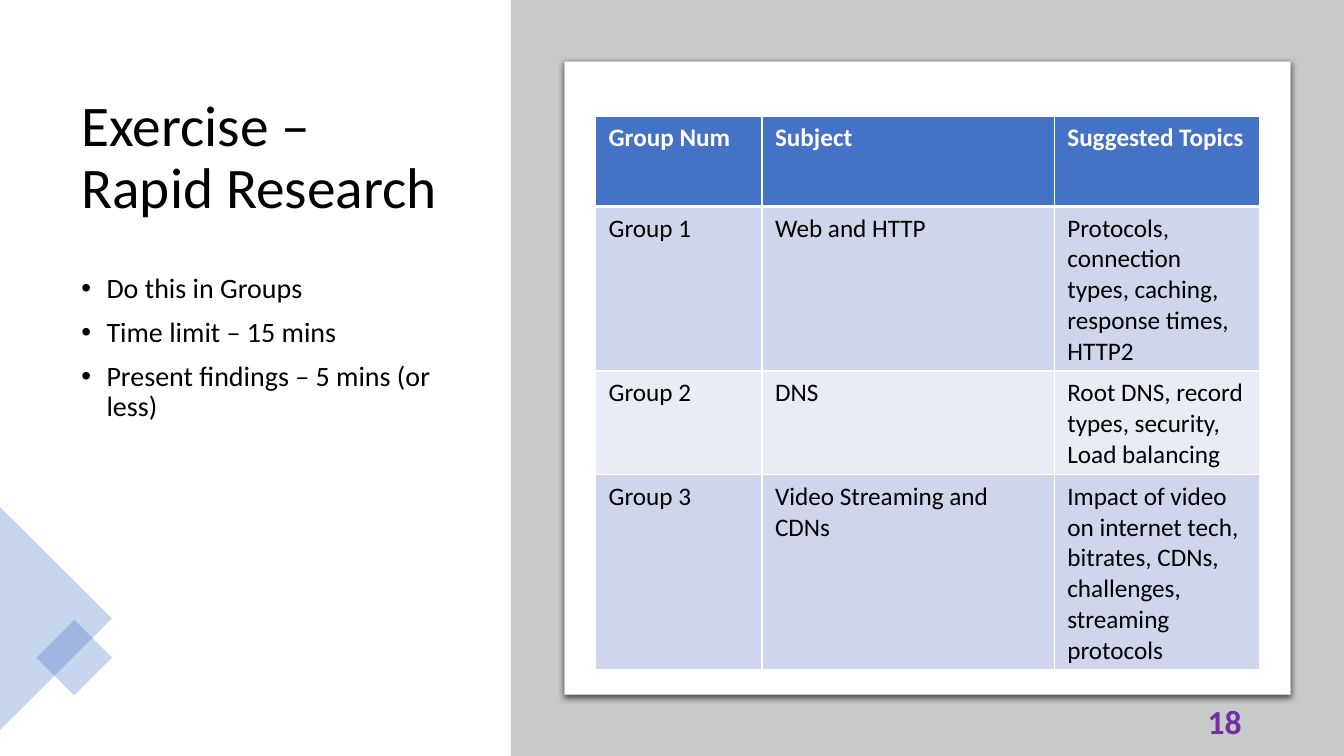
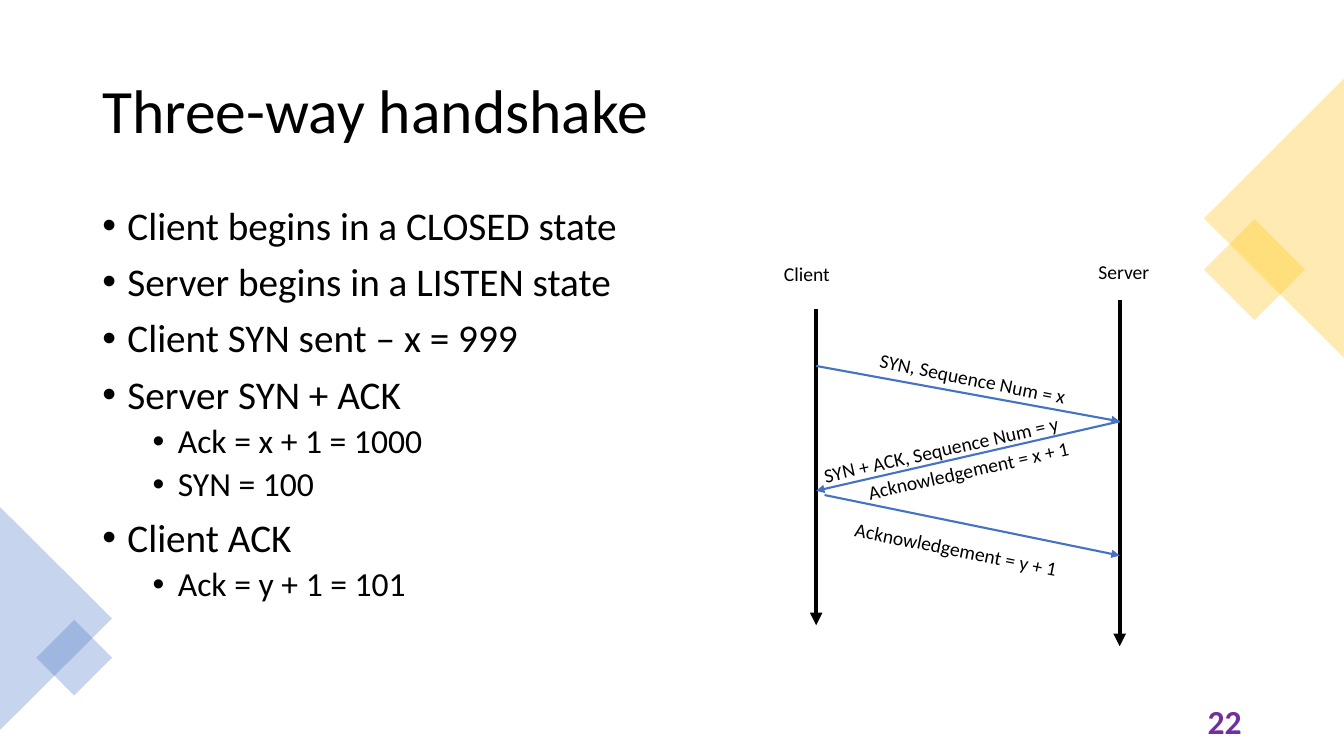
from dataclasses import dataclass
from lxml import etree
from pptx import Presentation
from pptx import util as u
from pptx.dml import color
from pptx.enum import shapes, text
from pptx.oxml import ns

Pt = u.Pt


@dataclass(frozen=True)
class Theme:
    font: str = "Calibri"
    black: str = "000000"
    white: str = "FFFFFF"
    blue: str = "4472C4"
    gold: str = "FFC000"
    gray: str = "C8CACA"
    violet: str = "7030A0"
    bands: tuple = ("CFD5EA", "E9EBF5")
    title: int = 44
    small: int = 41  # title beside a panel
    body: tuple = (28, 24)  # by bullet level
    note: int = 20
    cell: int = 18
    label: int = 14
    page: int = 24


T = Theme()
WIDE, HIGH = 960, 540
MID = text.MSO_ANCHOR.MIDDLE
RIGHT = text.PP_ALIGN.RIGHT


# Basic parts
def rgb(code):
    return color.RGBColor.from_string(code)


def sub(node, tag, **attrs):
    return etree.SubElement(node, ns.qn(tag), attrs)


def apply(item, values):
    for name, value in values.items():
        setattr(item, name, value)


def write(para, words, size, ink=T.black, bold=False, **form):
    apply(para, form)
    run = para.add_run()
    run.text = words
    apply(run.font, dict(name=T.font, size=Pt(size), bold=bold))
    run.font.color.rgb = rgb(ink)


def frame(slide, box, **form):
    area = slide.shapes.add_textbox(*map(Pt, box))
    apply(area.text_frame, dict(word_wrap=True, **form))
    return area


def block(slide, kind, box, fill, alpha=None, turn=0):
    shape = slide.shapes.add_shape(kind, *map(Pt, box))
    shape.shadow.inherit = False
    shape.rotation = turn
    shape.fill.solid()
    shape.fill.fore_color.rgb = rgb(fill)
    shape.line.fill.background()
    if alpha:
        tint = shape.fill._xPr.find(".//" + ns.qn("a:srgbClr"))
        sub(tint, "a:alpha", val=str(alpha * 1000))
    return shape


def arrow(slide, start, end, ink, width):
    line = slide.shapes.add_connector(
        shapes.MSO_CONNECTOR.STRAIGHT, *map(Pt, start + end))
    line.line.color.rgb = rgb(ink)
    line.line.width = Pt(width)
    sub(line.line._get_or_add_ln(), "a:tailEnd", type="triangle")
    sub(line._element.spPr, "a:effectLst")


# Shared slide parts
def corner(slide, box, fill, side, drop, left):
    """Half diamond on a slide edge, with a small diamond at its tip."""
    x, y, w, h = box
    mid = y + h / 2
    block(slide, shapes.MSO_SHAPE.ISOSCELES_TRIANGLE,
          (x + (w - h) / 2, mid - w / 2, h, w), fill, 30, 90 if left else 270)
    half = side / 2 ** 0.5
    hub = x + w - half if left else x + half
    block(slide, shapes.MSO_SHAPE.RECTANGLE,
          (hub - side / 2, mid + drop - side / 2, side, side), fill, 30, 45)


def title(slide, box, words, size):
    area = frame(slide, box, vertical_anchor=MID)
    write(area.text_frame.paragraphs[0], words, size, line_spacing=0.9)


def bullets(slide, box, items, sizes):
    area = frame(slide, box).text_frame
    for i, (level, words) in enumerate(items):
        para = area.add_paragraph() if i else area.paragraphs[0]
        write(para, words, sizes[level], level=level, line_spacing=0.9,
              space_before=Pt(5 if level else 10))
        props = para._p.get_or_add_pPr()
        props.set("marL", str(Pt(18 + 36 * level)))
        props.set("indent", str(-Pt(18)))
        sub(props, "a:buFont", typeface="Arial")
        sub(props, "a:buChar", char="•")


def base(deck, page):
    slide = deck.slides.add_slide(deck.slide_layouts[6])
    corner(slide, (0, 362.2, 80, 159.2), T.blue, 38.2, 28, True)
    return slide, page


def number(slide, page):
    area = frame(slide, (678, 500.4, 216, 28.8), vertical_anchor=MID)
    write(area.text_frame.paragraphs[0], page, T.page, T.violet, True,
          alignment=RIGHT)


# Slide with a table on a card
def card(slide, box):
    shape = block(slide, shapes.MSO_SHAPE.RECTANGLE, box, T.white)
    shape.line.color.rgb = rgb(T.gray)
    shape.line.width = Pt(0.75)
    glow = sub(shape._element.spPr.find(ns.qn("a:effectLst")), "a:outerShdw",
               blurRad=str(Pt(4.5)), dist=str(Pt(1.5)), dir="5400000",
               algn="t", rotWithShape="0")
    sub(sub(glow, "a:srgbClr", val=T.black), "a:alpha", val="63000")


def edges(cell, head):
    for side in "LRTB":
        width = 3 if head and side == "B" else 1
        line = sub(cell._tc.get_or_add_tcPr(), "a:ln" + side,
                   w=str(Pt(width)))
        sub(sub(line, "a:solidFill"), "a:srgbClr", val=T.white)


def grid(slide, spot, cols, rows, data):
    size = (sum(cols), sum(rows))
    table = slide.shapes.add_table(
        len(rows), len(cols), *map(Pt, spot + size)).table
    for col, width in zip(table.columns, cols):
        col.width = Pt(width)
    for r, (row, high) in enumerate(zip(data, rows)):
        table.rows[r].height = Pt(high)
        head = r == 0
        for c, words in enumerate(row):
            cell = table.cell(r, c)
            apply(cell, dict(margin_left=Pt(9.3), margin_right=Pt(9.3),
                             margin_top=Pt(4.7), margin_bottom=Pt(4.7)))
            edges(cell, head)
            cell.fill.solid()
            cell.fill.fore_color.rgb = rgb(
                T.blue if head else T.bands[(r - 1) % 2])
            write(cell.text_frame.paragraphs[0], words, T.cell,
                  T.white if head else T.black, head)


def panel(slide, box, data):
    x, y, w, h = box
    block(slide, shapes.MSO_SHAPE.RECTANGLE, box, T.gray)
    card(slide, (x + 38, y + 44, w - 76.4, h - 88))
    grid(slide, (x + 60.5, y + 82.8), (118.8, 208.8, 146.6),
         (64.8, 110, 70, 130), data)


def research(deck):
    slide, page = base(deck, "18")
    title(slide, (51, 49.7, 276, 127.4), "Exercise – Rapid Research", T.small)
    bullets(slide, (51, 192.2, 276, 298), [
        (0, "Do this in Groups"),
        (0, "Time limit – 15 mins"),
        (0, "Present findings – 5 mins (or less)"),
    ], (T.note,))
    panel(slide, (365, 0, WIDE - 365, HIGH), [
        ("Group Num", "Subject", "Suggested Topics"),
        ("Group 1", "Web and HTTP",
         "Protocols, connection types, caching, response times, HTTP2"),
        ("Group 2", "DNS",
         "Root DNS, record types, security, Load balancing"),
        ("Group 3", "Video Streaming and CDNs",
         "Impact of video on internet tech, bitrates, CDNs, challenges, "
         "streaming protocols"),
    ])
    number(slide, page)


# Slide with a message sequence
def sequence(slide, box):
    x, y, w, h = box
    end = x + w
    # Lifelines
    for at, top, foot in ((x, 6, h - 15), (end, 0, h)):
        arrow(slide, (at, y + top), (at, y + foot), T.black, 3)
    # Messages
    for start, stop in (((x, 46.8), (end, 86.4)),
                        ((end, 86.4), (x, 136)),
                        ((x + 6, 139), (end, 182.2))):
        arrow(slide, (start[0], y + start[1]), (stop[0], y + stop[1]),
              T.blue, 1.5)
    # Labels: left, top, width, turn
    for left, top, wide, turn, words in (
            (-30.2, -31, 84, 0, "Client"),
            (194.4, -32.4, 84, 0, "Server"),
            (37.4, 43.9, 150.5, 11.4, "SYN, Sequence Num = x"),
            (-3.6, 92.8, 198, 347.3, "SYN + ACK, Sequence Num = y"),
            (28, 105.1, 198, 347.3, "Acknowledgement = x + 1"),
            (19.4, 167, 175, 11.4, "Acknowledgement = y + 1")):
        area = frame(slide, (x + left, y + top, wide, 24.2),
                     auto_size=text.MSO_AUTO_SIZE.SHAPE_TO_FIT_TEXT)
        area.rotation = turn
        write(area.text_frame.paragraphs[0], words, T.label)


def handshake(deck):
    slide, page = base(deck, "22")
    corner(slide, (860, 56.2, 100, 199.4), T.gold, 51, 36.7, False)
    title(slide, (66, 28.8, 828, 104.4), "Three-way handshake", T.title)
    bullets(slide, (66, 143.8, 828, 342.6), [
        (0, "Client begins in a CLOSED state"),
        (0, "Server begins in a LISTEN state"),
        (0, "Client SYN sent – x = 999"),
        (0, "Server SYN + ACK"),
        (1, "Ack = x + 1 = 1000"),
        (1, "SYN = 100"),
        (0, "Client ACK"),
        (1, "Ack = y + 1 = 101"),
    ], T.body)
    sequence(slide, (583, 214.6, 216.8, 247))
    number(slide, page)


def main():
    deck = Presentation()
    apply(deck, dict(slide_width=Pt(WIDE), slide_height=Pt(HIGH)))
    research(deck)
    handshake(deck)
    deck.save("out.pptx")


if __name__ == "__main__":
    main()
